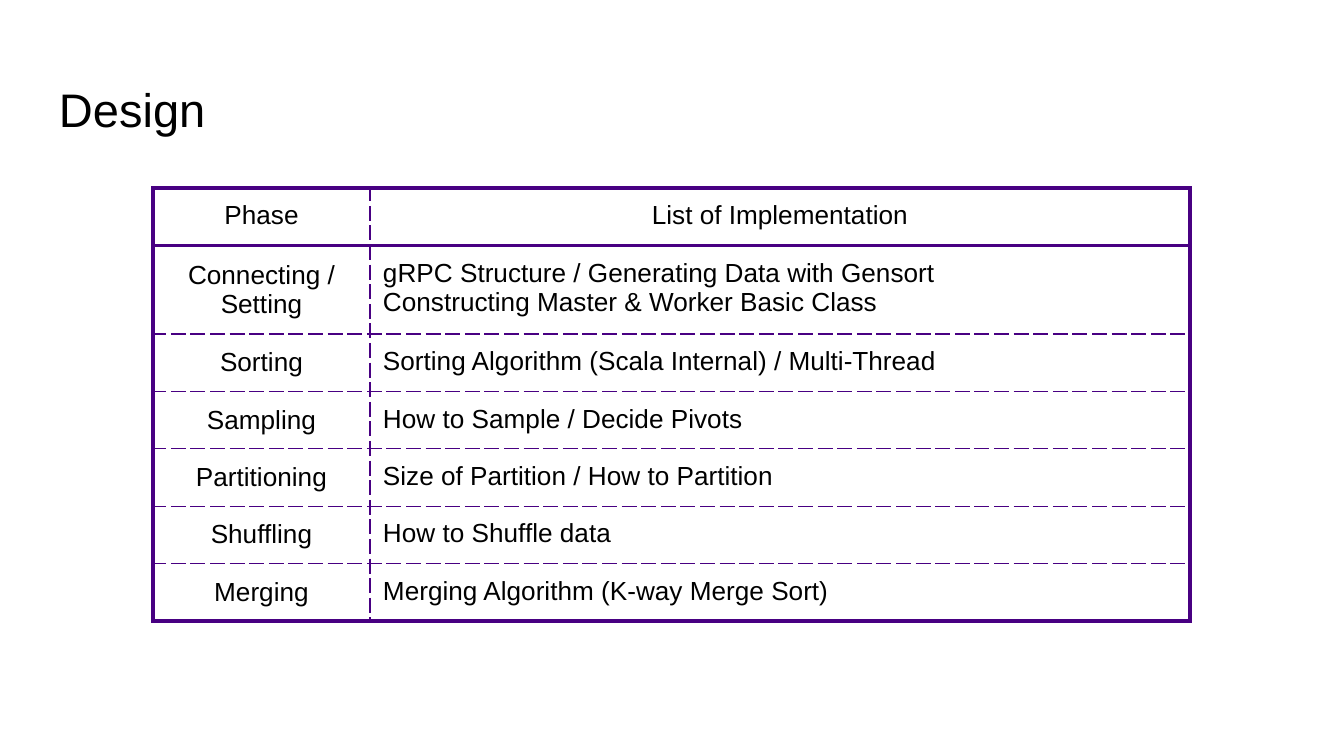
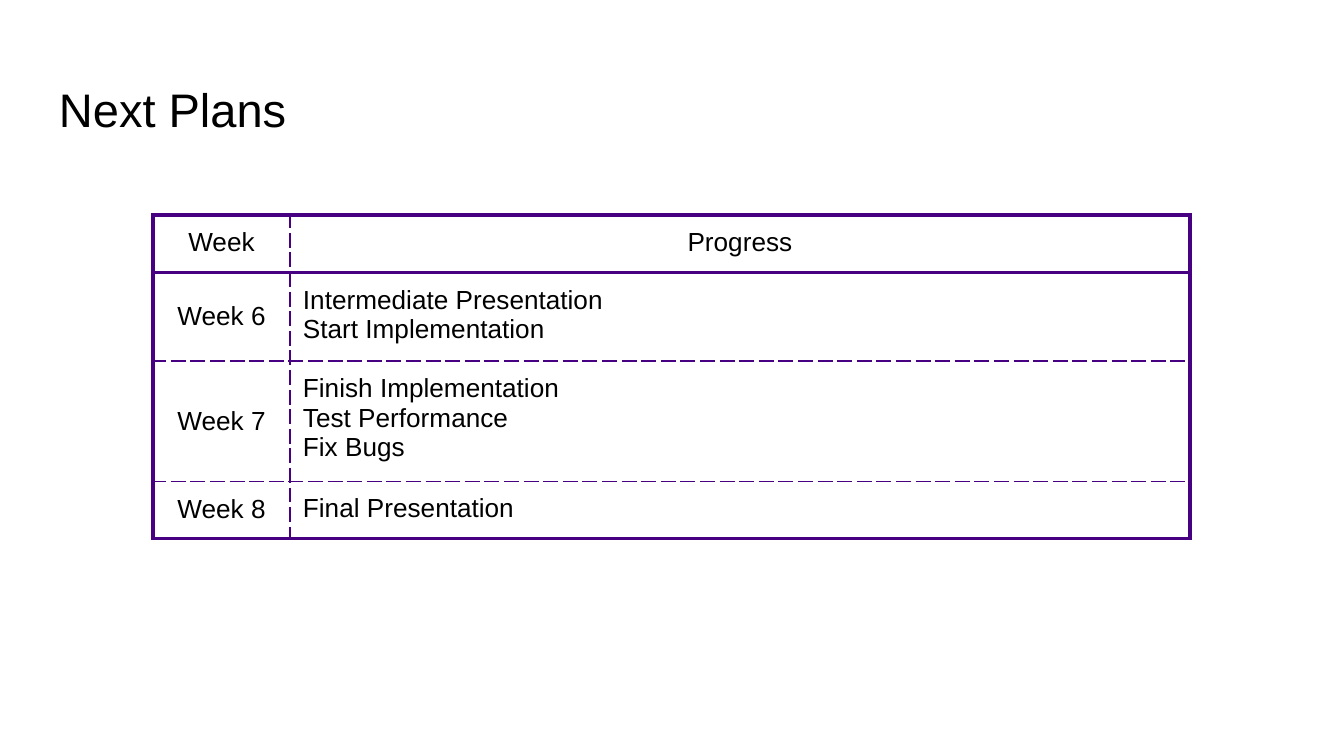
from dataclasses import dataclass

from lxml.etree import SubElement, Element
from pptx import Presentation
from pptx.dml.color import RGBColor
from pptx.enum.text import MSO_ANCHOR, PP_ALIGN
from pptx.oxml.ns import qn
from pptx.util import Emu, Pt

PAGE_WIDTH, PAGE_HEIGHT = 1344, 756
EMU_PER_PX = 9144000 / PAGE_WIDTH


def px(length):
    return Emu(round(length * EMU_PER_PX))


@dataclass(frozen=True)
class Theme:
    font: str = "Arial"
    text: str = "000000"
    background: str = "FFFFFF"
    rule: str = "480082"
    title_size: float = 25.2
    cell_size: float = 14
    frame_width: float = 2.25
    divider_width: float = 0.75
    inset: int = 13


class SlideBuilder:
    def __init__(self, deck, theme):
        self.deck = deck
        self.theme = theme
        self.page = None

    def new_page(self):
        self.page = self.deck.slides.add_slide(self.deck.slide_layouts[6])
        fill = self.page.background.fill
        fill.solid()
        fill.fore_color.rgb = RGBColor.from_string(self.theme.background)

    def set_lines(self, frame, lines, size, align=PP_ALIGN.LEFT):
        """Set the lines as one paragraph with line breaks."""
        frame.word_wrap = True
        para = frame.paragraphs[0]
        para.alignment = align
        para.font.name = self.theme.font
        para.font.size = Pt(size)
        para.font.color.rgb = RGBColor.from_string(self.theme.text)
        for index, line in enumerate(lines):
            if index:
                para.add_line_break()
            para.add_run().text = line

    def set_margins(self, holder):
        inset = px(self.theme.inset)
        holder.margin_left = holder.margin_right = inset
        holder.margin_top = holder.margin_bottom = inset

    def title(self, text):
        box = self.page.shapes.add_textbox(px(46), px(66), px(1252), px(85))
        self.set_margins(box.text_frame)
        box.text_frame.vertical_anchor = MSO_ANCHOR.MIDDLE
        self.set_lines(box.text_frame, [text], self.theme.title_size)

    def border(self, cell, position, side, framed):
        """Draw a solid frame line or a dashed divider on one cell side."""
        width = self.theme.frame_width if framed else self.theme.divider_width
        line = Element(qn(f"a:ln{side}"), w=str(Pt(width)), cmpd="sng")
        fill = SubElement(line, qn("a:solidFill"))
        SubElement(fill, qn("a:srgbClr"), val=self.theme.rule)
        SubElement(line, qn("a:prstDash"), val="solid" if framed else "dash")
        cell._tc.get_or_add_tcPr().insert(position, line)

    def table(self, top, first_width, rows, left=153, width=1037, row_height=56):
        """Draw a two-column table whose first row is the header."""
        last = len(rows) - 1
        table = self.page.shapes.add_table(
            len(rows), 2, px(left), px(top), px(width), px(row_height * len(rows))
        ).table
        table.first_row = table.horz_banding = False
        table.columns[0].width = px(first_width)
        table.columns[1].width = px(width - first_width)
        for row, (label, details) in enumerate(rows):
            table.rows[row].height = px(row_height)
            for column, lines in enumerate(([label], details)):
                cell = table.cell(row, column)
                is_label = column == 0
                self.set_margins(cell)
                cell.vertical_anchor = (
                    MSO_ANCHOR.MIDDLE if is_label and row else MSO_ANCHOR.TOP
                )
                centred = is_label or row == 0
                align = PP_ALIGN.CENTER if centred else PP_ALIGN.LEFT
                self.set_lines(cell.text_frame, lines, self.theme.cell_size, align)
                cell.fill.background()
                framed_sides = {
                    "L": is_label,
                    "R": not is_label,
                    "T": row <= 1,
                    "B": row in (0, last),
                }
                for position, (side, framed) in enumerate(framed_sides.items()):
                    self.border(cell, position, side, framed)


PHASES = [
    ("Phase", ["List of Implementation"]),
    ("Connecting / Setting", [
        "gRPC Structure / Generating Data with Gensort",
        "Constructing Master & Worker Basic Class",
    ]),
    ("Sorting", ["Sorting Algorithm (Scala Internal) / Multi-Thread"]),
    ("Sampling", ["How to Sample / Decide Pivots"]),
    ("Partitioning", ["Size of Partition / How to Partition"]),
    ("Shuffling", ["How to Shuffle data"]),
    ("Merging", ["Merging Algorithm (K-way Merge Sort)"]),
]

WEEKS = [
    ("Week", ["Progress"]),
    ("Week 6", ["Intermediate Presentation", "Start Implementation"]),
    ("Week 7", ["Finish Implementation", "Test Performance", "Fix Bugs"]),
    ("Week 8", ["Final Presentation"]),
]


def main():
    deck = Presentation()
    deck.slide_width, deck.slide_height = px(PAGE_WIDTH), px(PAGE_HEIGHT)
    builder = SlideBuilder(deck, Theme())
    for title, top, first_width, rows in (
        ("Design", 188, 217, PHASES),
        ("Next Plans", 215, 137, WEEKS),
    ):
        builder.new_page()
        builder.title(title)
        builder.table(top, first_width, rows)
    deck.save("out.pptx")


if __name__ == "__main__":
    main()
